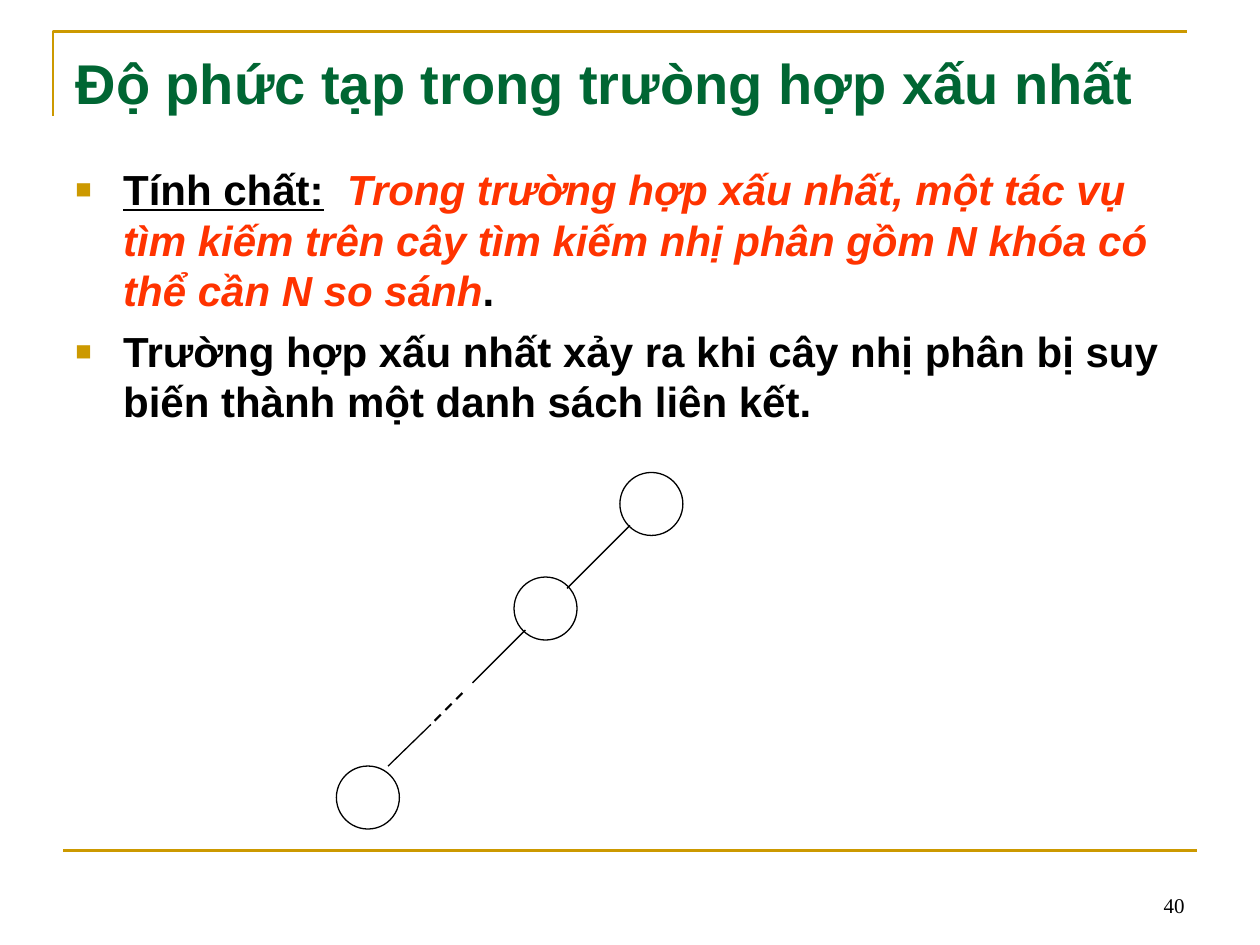
from lxml import etree
from pptx import Presentation
from pptx.dml.color import RGBColor
from pptx.enum.dml import MSO_LINE
from pptx.enum.shapes import MSO_CONNECTOR, MSO_SHAPE
from pptx.enum.text import MSO_ANCHOR, MSO_AUTO_SIZE, PP_ALIGN
from pptx.oxml.ns import qn
from pptx.util import Inches, Pt

STRAIGHT = MSO_CONNECTOR.STRAIGHT
OVAL = MSO_SHAPE.OVAL
DASH = MSO_LINE.DASH
MIDDLE, TOP, BOTTOM = MSO_ANCHOR.MIDDLE, MSO_ANCHOR.TOP, MSO_ANCHOR.BOTTOM
LEFT, RIGHT = PP_ALIGN.LEFT, PP_ALIGN.RIGHT

THEME = {
    "gold": "CC9900", "green": "006633", "red": "FF3300", "black": "000000",
    "title": 32, "body": 24, "number": 12,
    "font": "Arial", "number_font": "Times New Roman",
}


def add_span(para, text, size, color, font=THEME["font"], bold=True, italic=False, underline=False):
    span = para.add_run()
    span.text = text
    span.font.name = font
    span.font.size = Pt(THEME[size])
    span.font.color.rgb = RGBColor.from_string(THEME[color])
    span.font.bold, span.font.italic, span.font.underline = bold, italic, underline


def add_line(page, start, end, color="black", width=0.75):
    line = page.shapes.add_connector(STRAIGHT, *(Inches(value) for value in start + end))
    line.line.color.rgb = RGBColor.from_string(THEME[color])
    line.line.width = Pt(width)
    etree.SubElement(line._element.spPr, qn("a:effectLst"))
    return line


deck = Presentation()
deck.slide_width, deck.slide_height = Inches(10), Inches(7.5)
page = deck.slides.add_slide(deck.slide_layouts[5])

builder = page.shapes.build_freeform(Inches(0.42), Inches(0.92))
builder.add_line_segments([(Inches(0.42), Inches(0.25)), (Inches(9.42), Inches(0.25))], close=False)
corner = builder.convert_to_shape()
corner.shadow.inherit = False
corner.fill.background()
corner.line.color.rgb = RGBColor.from_string(THEME["gold"])
corner.line.width = Pt(1.5)
add_line(page, (0.5, 6.75), (9.5, 6.75), "gold", 1.5)

number_box = page.shapes.add_textbox(Inches(7.17), Inches(6.83), Inches(2.33), Inches(0.5))
number_box.text_frame.word_wrap = True
number_box.text_frame.vertical_anchor = BOTTOM
number_para = number_box.text_frame.paragraphs[0]
number_para.alignment = RIGHT
add_span(number_para, "40", "number", "black", THEME["number_font"], bold=False)

title = page.shapes.title
title.left, title.top, title.width, title.height = Inches(0.5), Inches(0.3), Inches(9), Inches(0.7)
title.text_frame.auto_size = MSO_AUTO_SIZE.NONE
title.text_frame.vertical_anchor = MIDDLE
title_para = title.text_frame.paragraphs[0]
title_para.alignment = LEFT
add_span(title_para, "Độ phức tạp trong trưòng hợp xấu nhất", "title", "green")

body_box = page.shapes.add_textbox(Inches(0.5), Inches(1.25), Inches(9), Inches(2.33))
body = body_box.text_frame
body.word_wrap = True
body.vertical_anchor = TOP
bullets = [
    [
        ("Tính chất:", "black", False, True),
        ("  ", "black", False, False),
        ("Trong trường hợp xấu nhất, một tác vụ tìm kiếm trên cây tìm kiếm nhị phân "
         "gồm N khóa có thể cần N so sánh", "red", True, False),
        (".", "black", False, False),
    ],
    [("Trường hợp xấu nhất xảy ra khi cây nhị phân bị suy biến thành một danh sách liên kết.",
      "black", False, False)],
]
for index, spans in enumerate(bullets):
    para = body.add_paragraph() if index else body.paragraphs[0]
    para.space_before = Pt(6)
    props = para._p.get_or_add_pPr()
    props.set("marL", str(Inches(0.38)))
    props.set("indent", str(-Inches(0.38)))
    bullet_color = etree.SubElement(props, qn("a:buClr"))
    etree.SubElement(bullet_color, qn("a:srgbClr"), val=THEME["gold"])
    etree.SubElement(props, qn("a:buSzPct"), val="65000")
    etree.SubElement(props, qn("a:buFont"), typeface=THEME["font"])
    etree.SubElement(props, qn("a:buChar"), char="■")
    for text, color, italic, underline in spans:
        add_span(para, text, "body", color, italic=italic, underline=underline)

for left, top in [(4.92, 3.75), (4.08, 4.58), (2.67, 6.08)]:
    node = page.shapes.add_shape(OVAL, Inches(left), Inches(top), Inches(0.5), Inches(0.5))
    node.shadow.inherit = False
    node.fill.background()
    node.line.color.rgb = RGBColor.from_string(THEME["black"])
    node.line.width = Pt(0.75)

for start, end in [((5, 4.17), (4.5, 4.67)), ((4.17, 5), (3.75, 5.42)), ((3.42, 5.75), (3.08, 6.08))]:
    add_line(page, start, end)
omitted_link = add_line(page, (3.67, 5.5), (3.42, 5.75), width=1.25)
omitted_link.line.dash_style = DASH

deck.save("out.pptx")
